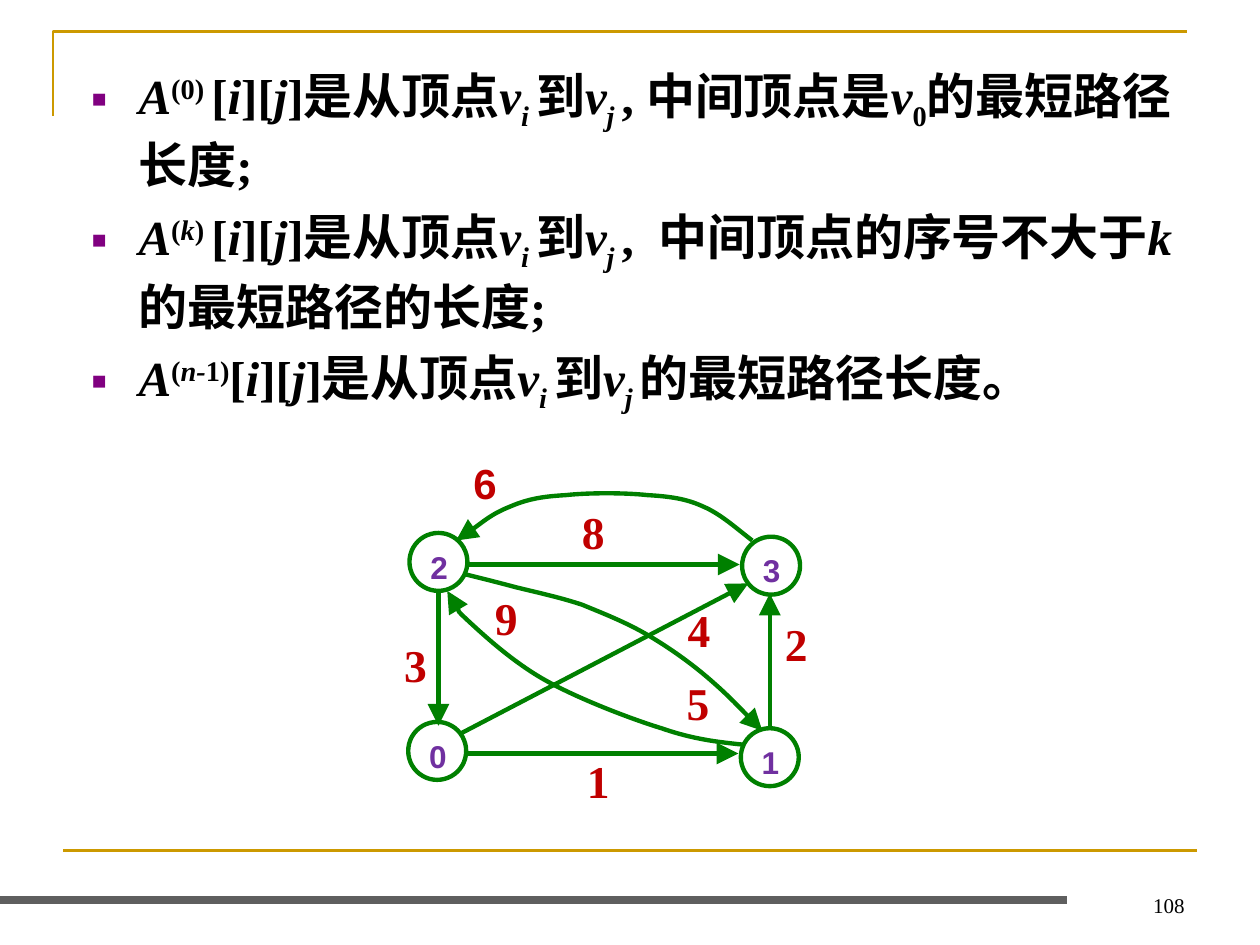
from dataclasses import dataclass

from lxml import etree
from pptx import Presentation
from pptx import util as u
from pptx.dml.color import RGBColor
from pptx.enum import shapes, text
from pptx.oxml import ns


@dataclass(frozen=True)
class Theme:
    ink: str = "000000"
    gold: str = "CC9900"
    grey: str = "5F5F5F"
    bullet: str = "800080"
    edge: str = "008000"
    node: str = "7030A0"
    weight: str = "C00000"
    serif: str = "Times New Roman"
    sans: str = "Arial"
    body_size: int = 28
    weight_size: int = 26
    small_weight_size: int = 24
    node_size: int = 18
    page_size: int = 12


def add_xml(parent, tag, **attributes):
    return etree.SubElement(parent, ns.qn(tag), attributes)


class Page:
    def __init__(self, slide, theme):
        self.slide = slide
        self.theme = theme
        self.canvas = slide.shapes

    def start_group(self):
        self.canvas = self.slide.shapes.add_group_shape().shapes

    def style_line(self, shape, color, width, arrow=False):
        shape.line.color.rgb = RGBColor.from_string(color)
        shape.line.width = u.Pt(width)
        if arrow:
            add_xml(shape.line._ln, "a:tailEnd", type="triangle", w="lg", len="lg")

    def span(self, para, words, size, color, font, bold=True, italic=False, shift=0):
        run = para.add_run()
        run.text = words
        run.font.size = u.Pt(size)
        run.font.name = font
        run.font.bold = bold
        run.font.italic = italic
        run.font.color.rgb = RGBColor.from_string(color)
        if shift:
            run._r.get_or_add_rPr().set("baseline", str(shift * 1000))

    def line(self, begin, end, color, width, arrow=False):
        connector = self.canvas.add_connector(
            shapes.MSO_CONNECTOR.STRAIGHT, *map(u.Inches, begin + end))
        self.style_line(connector, color, width, arrow)
        add_xml(connector._element.spPr, "a:effectLst")

    def path_line(self, points, color, width, arrow=False):
        points = [(u.Inches(x), u.Inches(y)) for x, y in points]
        builder = self.canvas.build_freeform(*points[0])
        builder.add_line_segments(points[1:], close=False)
        shape = builder.convert_to_shape()
        shape.fill.background()
        shape.shadow.inherit = False
        self.style_line(shape, color, width, arrow)
        return shape

    def curve(self, points, color, width):
        """Start point, then two handles and an end point for each segment."""
        shape = self.path_line(points, color, width, arrow=True)
        steps = list(shape._element.iter(ns.qn("a:lnTo")))
        outline = steps[0].getparent()
        for first in range(0, len(steps), 3):
            bezier = add_xml(outline, "a:cubicBezTo")
            for step in steps[first:first + 3]:
                bezier.append(step[0])
                outline.remove(step)

    def node(self, left, top, name, diameter=0.46):
        theme = self.theme
        circle = self.canvas.add_shape(
            shapes.MSO_SHAPE.OVAL, *map(u.Inches, (left, top, diameter, diameter)))
        circle.fill.background()
        circle.shadow.inherit = False
        self.style_line(circle, theme.edge, 2.5)
        circle.text_frame.vertical_anchor = text.MSO_ANCHOR.TOP
        para = circle.text_frame.paragraphs[0]
        para.alignment = text.PP_ALIGN.LEFT
        self.span(para, name, theme.node_size, theme.node, theme.sans)

    def label(self, area, words, size, color, font, bold=True, wrap=False,
              align=text.PP_ALIGN.LEFT, anchor=text.MSO_ANCHOR.TOP):
        frame = self.canvas.add_textbox(*map(u.Inches, area)).text_frame
        frame.word_wrap = wrap
        frame.vertical_anchor = anchor
        para = frame.paragraphs[0]
        para.alignment = align
        self.span(para, words, size, color, font, bold)

    def bullets(self, area, items):
        theme = self.theme
        body = self.slide.placeholders[1]
        body.left, body.top, body.width, body.height = map(u.Inches, area)
        frame = body.text_frame
        frame.auto_size = text.MSO_AUTO_SIZE.NONE
        frame.vertical_anchor = text.MSO_ANCHOR.TOP
        for index, item in enumerate(items):
            para = frame.add_paragraph() if index else frame.paragraphs[0]
            para.line_spacing = 1.05
            para.space_before = u.Pt(5.2)
            props = para._p.get_or_add_pPr()
            props.set("marL", str(u.Inches(0.37)))
            props.set("indent", str(-u.Inches(0.37)))
            add_xml(add_xml(props, "a:buClr"), "a:srgbClr", val=theme.bullet)
            add_xml(props, "a:buSzPct", val="50000")
            add_xml(props, "a:buFont", typeface=theme.sans)
            add_xml(props, "a:buChar", char="■")
            for words, italic, shift in item:
                self.span(para, words, theme.body_size, theme.ink, theme.serif,
                          italic=italic, shift=shift)


# Formula pieces: (words, italic, baseline shift in percent)
def roman(words, shift=0):
    return words, False, shift


def italic(words, shift=0):
    return words, True, shift


def definition(superscript, ending):
    return [italic("A"), *superscript,
            roman("["), italic("i"), roman("]["), italic("j"), roman("]是从顶点"),
            italic("v"), italic("i ", -25), roman("到"),
            italic("v"), italic("j ", -25), *ending]


DEFINITIONS = [
    definition([roman("(0) ", 30)],
               [roman(", 中间顶点是"), italic("v"), roman("0", -25),
                roman("的最短路径长度;")]),
    definition([roman("(", 30), italic("k", 30), roman(") ", 30)],
               [roman(",  中间顶点的序号不大于"), italic("k"),
                roman("的最短路径的长度;")]),
    definition([roman("(", 30), italic("n-", 30), roman("1)", 30)],
               [roman("的最短路径长度。")]),
]

NODES = [(3.25, 4.23, "2"), (3.24, 5.73, "0"), (5.89, 4.26, "3"), (5.88, 5.78, "1")]

STRAIGHT_EDGES = [
    ((3.66, 5.82), (5.94, 4.63)),
    ((3.48, 4.71), (3.48, 5.76)),
    ((3.71, 4.48), (5.87, 4.48)),
    ((3.71, 5.98), (5.86, 5.98)),
    ((6.11, 5.78), (6.11, 4.71)),
]

CURVED_EDGES = [
    # 3 to 2
    [(5.97, 4.29),
     (5.84, 4.19), (5.72, 4.08), (5.58, 4.02),
     (5.45, 3.96), (5.32, 3.94), (5.14, 3.93),
     (4.96, 3.91), (4.67, 3.91), (4.49, 3.93),
     (4.31, 3.94), (4.19, 3.96), (4.05, 4.02),
     (3.9, 4.08), (3.69, 4.25), (3.62, 4.29)],
    # 2 to 1
    [(3.7, 4.56),
     (3.82, 4.59), (3.94, 4.62), (4.09, 4.66),
     (4.25, 4.7), (4.44, 4.74), (4.62, 4.8),
     (4.79, 4.87), (4.97, 4.94), (5.14, 5.04),
     (5.31, 5.14), (5.48, 5.26), (5.63, 5.39),
     (5.78, 5.52), (5.98, 5.73), (6.05, 5.8)],
    # 1 to 2
    [(5.9, 5.91),
     (5.71, 5.89), (5.51, 5.87), (5.25, 5.78),
     (4.99, 5.7), (4.58, 5.54), (4.33, 5.4),
     (4.08, 5.26), (3.86, 5.06), (3.73, 4.94),
     (3.6, 4.82), (3.58, 4.73), (3.55, 4.69)],
]

WEIGHTS = [(4.52, 3.95, "8"), (5.35, 5.31, "5"), (5.36, 4.73, "4"), (3.83, 4.63, "9"),
           (6.13, 4.84, "2"), (3.11, 5.01, "3"), (4.56, 5.93, "1")]


def main():
    deck = Presentation()
    deck.slide_width, deck.slide_height = u.Inches(10), u.Inches(7.5)
    theme = Theme()
    page = Page(deck.slides.add_slide(deck.slide_layouts[1]), theme)
    title = page.slide.shapes.title._element
    title.getparent().remove(title)

    # Frame lines and page number
    page.path_line([(0.42, 0.92), (0.42, 0.25), (9.42, 0.25)], theme.gold, 1.5)
    page.line((0.5, 6.75), (9.5, 6.75), theme.gold, 1.5)
    page.line((0, 7.14), (8.47, 7.14), theme.grey, 4.5)
    page.label((7.17, 6.83, 2.33, 0.5), "108", theme.page_size, theme.ink, theme.serif,
               bold=False, wrap=True, align=text.PP_ALIGN.RIGHT,
               anchor=text.MSO_ANCHOR.BOTTOM)

    # Definitions
    page.bullets((0.63, 0.44, 8.94, 6.23), DEFINITIONS)

    # Directed graph
    page.start_group()
    for node in NODES:
        page.node(*node)
    for begin, end in STRAIGHT_EDGES:
        page.line(begin, end, theme.edge, 2.5, arrow=True)
    for points in CURVED_EDGES:
        page.curve(points, theme.edge, 2.5)

    # Edge weights
    page.label((3.66, 3.58, 0.34, 0.4), "6", theme.small_weight_size, theme.weight,
               theme.sans, wrap=True)
    for left, top, value in WEIGHTS:
        page.label((left, top, 0.38, 0.54), value, theme.weight_size, theme.weight,
                   theme.serif)

    deck.save("out.pptx")


if __name__ == "__main__":
    main()
